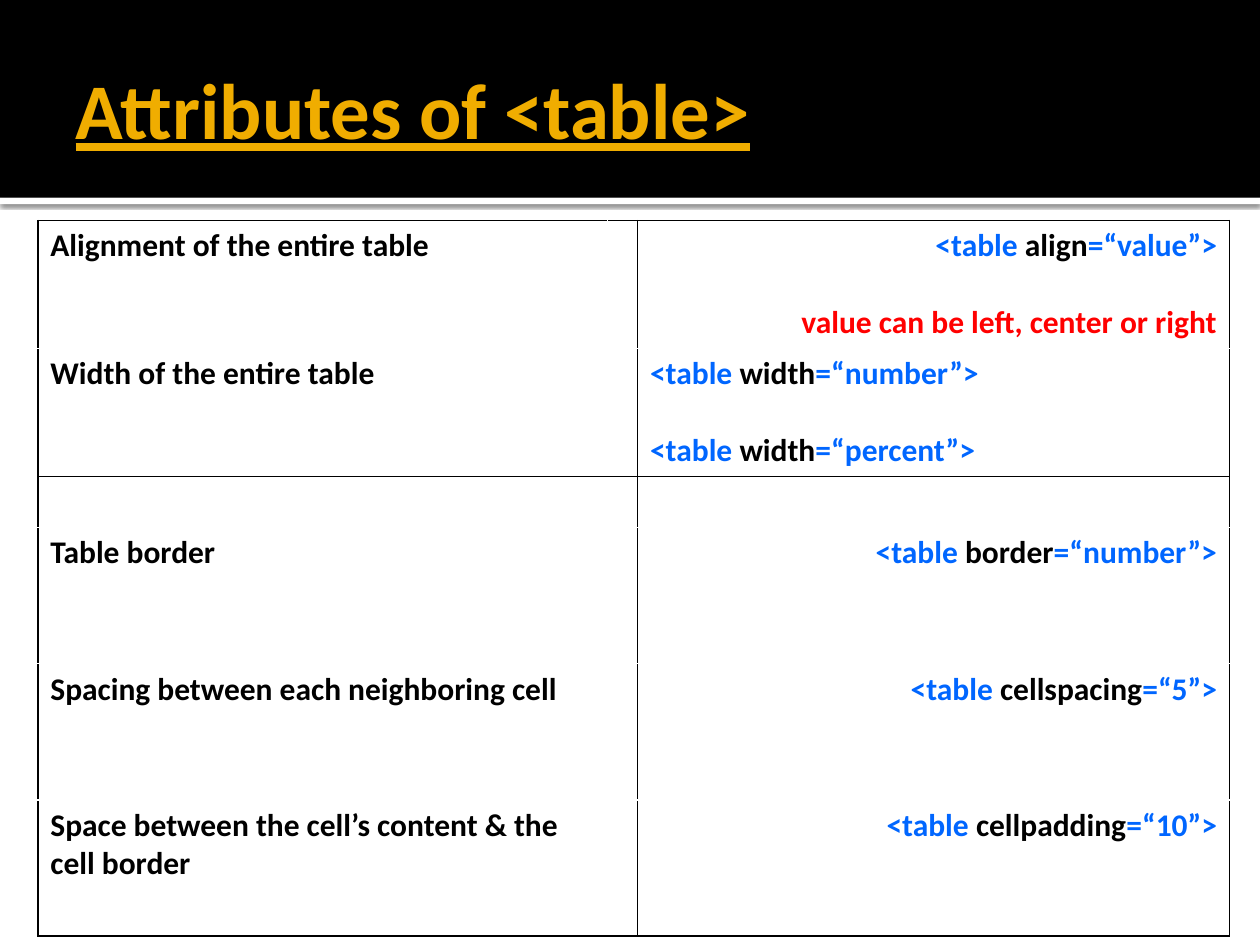
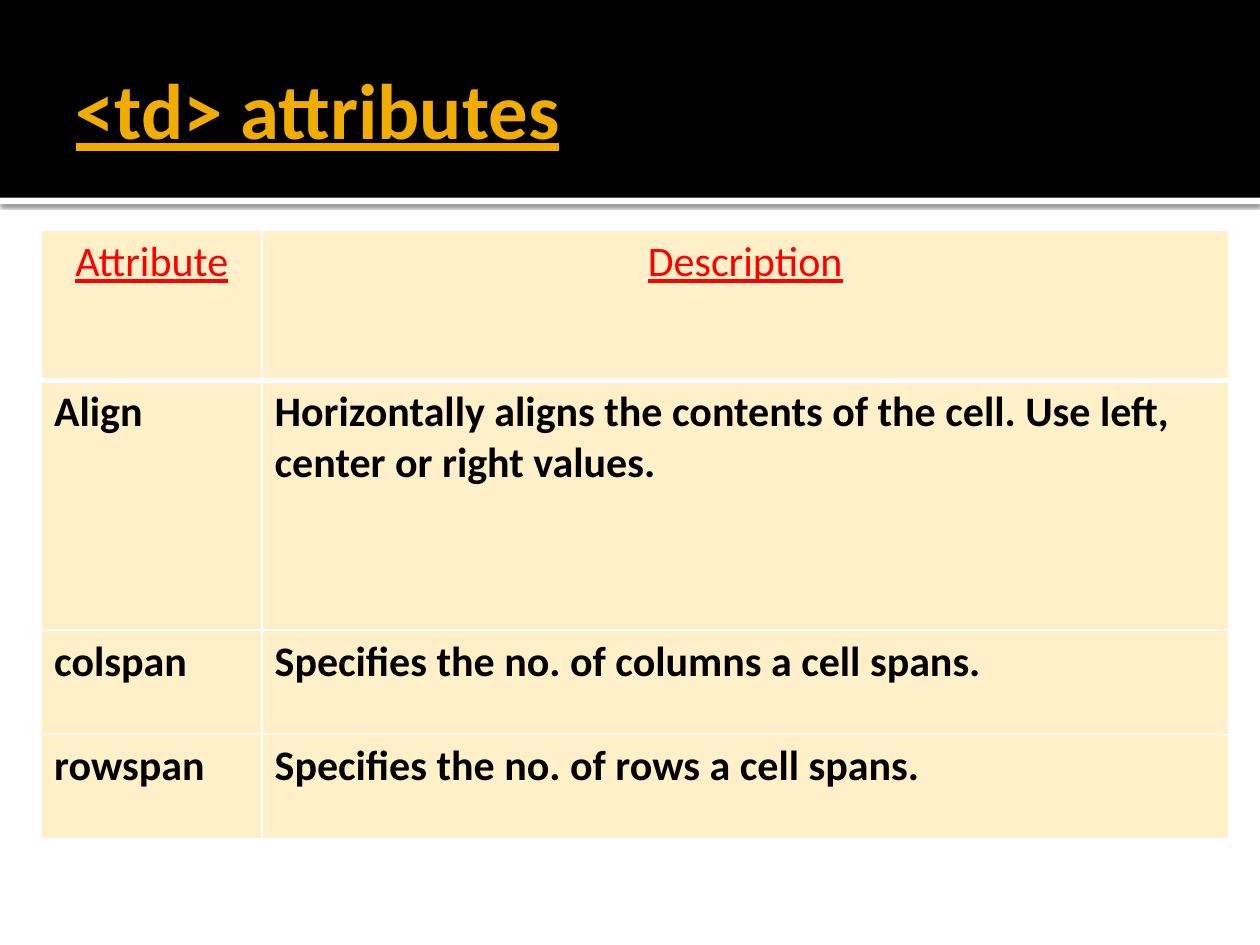
from lxml.etree import SubElement
from pptx import Presentation
from pptx.dml.color import RGBColor
from pptx.enum.shapes import MSO_SHAPE
from pptx.enum.text import MSO_ANCHOR, PP_ALIGN
from pptx.oxml.ns import qn
from pptx.util import Pt

EMU_PER_PX = 9144
FONT = "Calibri"
BLACK, WHITE, RED = "000000", "FFFFFF", "FF0000"
GOLD, CREAM, BLUE = "F0AD00", "FFF0C9", "0066FF"
PAGE = (0, 0, 1000, 750)
BAND_H, RULE_H = 157, 5
TITLE_BOX = (50, 17, 900, 137)
LEFT, CENTER, RIGHT = PP_ALIGN.LEFT, PP_ALIGN.CENTER, PP_ALIGN.RIGHT


def px(n):
    return n * EMU_PER_PX


def rgb(color):
    return RGBColor.from_string(color)


def place(sp, box):
    sp.left, sp.top, sp.width, sp.height = map(px, box)


def write(p, text, size=18, color=BLACK, bold=True, underline=False, align=LEFT):
    p.alignment = align
    r = p.add_run()
    r.text = text
    r.font.name = FONT
    r.font.size = Pt(size)
    r.font.bold = bold
    r.font.underline = underline
    r.font.color.rgb = rgb(color)


def add_bar(slide, box, color):
    sp = slide.shapes.add_shape(MSO_SHAPE.RECTANGLE, *map(px, box))
    sp.shadow.inherit = False
    sp.fill.solid()
    sp.fill.fore_color.rgb = rgb(color)
    sp.line.fill.background()
    return sp


def add_shadow(sp, blur, dist, alpha):
    effects = sp.element.spPr.find(qn("a:effectLst"))
    shadow = SubElement(effects, qn("a:outerShdw"), blurRad=str(Pt(blur)),
                        dist=str(Pt(dist)), dir="5400000", algn="t", rotWithShape="0")
    tint = SubElement(shadow, qn("a:srgbClr"), val=BLACK)
    SubElement(tint, qn("a:alpha"), val=str(alpha * 1000))


def style_layout(layout, slide):
    x, y, w, _ = PAGE
    rule = add_bar(slide, (x, y + BAND_H, w, RULE_H), WHITE)
    add_shadow(rule, blur=2.5, dist=0.8, alpha=60)
    band = add_bar(slide, (x, y, w, BAND_H), BLACK)
    for i, sp in enumerate((rule, band)):
        sp.element.nvSpPr.cNvPr.set("id", str(20 + i))
        layout.shapes.element.append(sp.element)
    place(layout.placeholders[0], TITLE_BOX)


def add_title(slide, text):
    tf = slide.shapes.title.text_frame
    tf.vertical_anchor = MSO_ANCHOR.MIDDLE
    tf.margin_left = px(10)
    tf.margin_top = tf.margin_right = tf.margin_bottom = px(5)
    write(tf.paragraphs[0], text, size=45, color=GOLD, underline=True)


def add_grid(slide, origin, cols, rows):
    box = (*origin, sum(cols), sum(rows))
    table = slide.shapes.add_table(len(rows), len(cols), *map(px, box)).table
    table.first_row = table.horz_banding = False
    for col, w in zip(table.columns, cols):
        col.width = px(w)
    for row, h in zip(table.rows, rows):
        row.height = px(h)
    return table


def style_cell(cell, fill, borders):
    tcPr = cell._tc.get_or_add_tcPr()
    for side in "LRTB":
        color, width = borders[side]
        ln = SubElement(tcPr, qn("a:ln" + side), w=str(Pt(width)))
        SubElement(SubElement(ln, qn("a:solidFill")), qn("a:srgbClr"), val=color)
    cell.fill.solid()
    cell.fill.fore_color.rgb = rgb(fill)


def tag(attribute, value):
    return [("<table ", BLUE), (attribute, BLACK), (f"=“{value}”>", BLUE)]


def add_syntax_table(slide, origin):
    entries = {
        0: ("Alignment of the entire table", RIGHT,
            [tag("align", "value"), [("value can be left, center or right", RED)]]),
        1: ("Width of the entire table", LEFT,
            [tag("width", "number"), tag("width", "percent")]),
        3: ("Table border", RIGHT, [tag("border", "number")]),
        4: ("Spacing between each neighboring cell", RIGHT, [tag("cellspacing", "5")]),
        5: ("Space between the cell’s content & the cell border", RIGHT,
            [tag("cellpadding", "10")]),
    }
    rows, cols = [100, 100, 40, 108, 108, 108], [452, 23, 470]
    table = add_grid(slide, origin, cols, rows)
    for r in range(len(rows)):
        for c in range(len(cols)):
            inked = {"L": c in (0, 2), "R": c in (1, 2), "T": r in (0, 2), "B": r in (1, 5)}
            borders = {side: (BLACK if on else WHITE, 1) for side, on in inked.items()}
            style_cell(table.cell(r, c), WHITE, borders)
    for r, (label, align, lines) in entries.items():
        write(table.cell(r, 0).text_frame.paragraphs[0], label)
        tf = table.cell(r, 2).text_frame
        for i, line in enumerate(lines):
            p = tf.add_paragraph() if i else tf.paragraphs[0]
            p.space_before = Pt(22 if i else 0)
            for text, color in line:
                write(p, text, color=color, align=align)


def add_description_table(slide, origin):
    entries = [
        ("Attribute", "Description"),
        ("Align", "Horizontally aligns the contents of the cell. "
                  "Use left, center or right values."),
        ("colspan", "Specifies the no. of columns a cell spans."),
        ("rowspan", "Specifies the no. of rows a cell spans."),
    ]
    header = dict(color=RED, bold=False, underline=True, align=CENTER)
    table = add_grid(slide, origin, [175, 767], [119, 198, 83, 83])
    for r, entry in enumerate(entries):
        borders = dict.fromkeys("LRT", (WHITE, 1)) | {"B": (WHITE, 1 if r else 3)}
        for c, text in enumerate(entry):
            cell = table.cell(r, c)
            style_cell(cell, CREAM, borders)
            write(cell.text_frame.paragraphs[0], text, size=24, **({} if r else header))


def main():
    prs = Presentation()
    prs.slide_width, prs.slide_height = map(px, PAGE[2:])
    layout = prs.slide_layouts[5]
    pages = [
        ("Attributes of <table>", add_syntax_table, (30, 175)),
        ("<td> attributes", add_description_table, (33, 183)),
    ]
    for i, (title, add_body, origin) in enumerate(pages):
        slide = prs.slides.add_slide(layout)
        if i == 0:
            style_layout(layout, slide)
        add_title(slide, title)
        add_body(slide, origin)
    prs.save("out.pptx")


if __name__ == "__main__":
    main()
